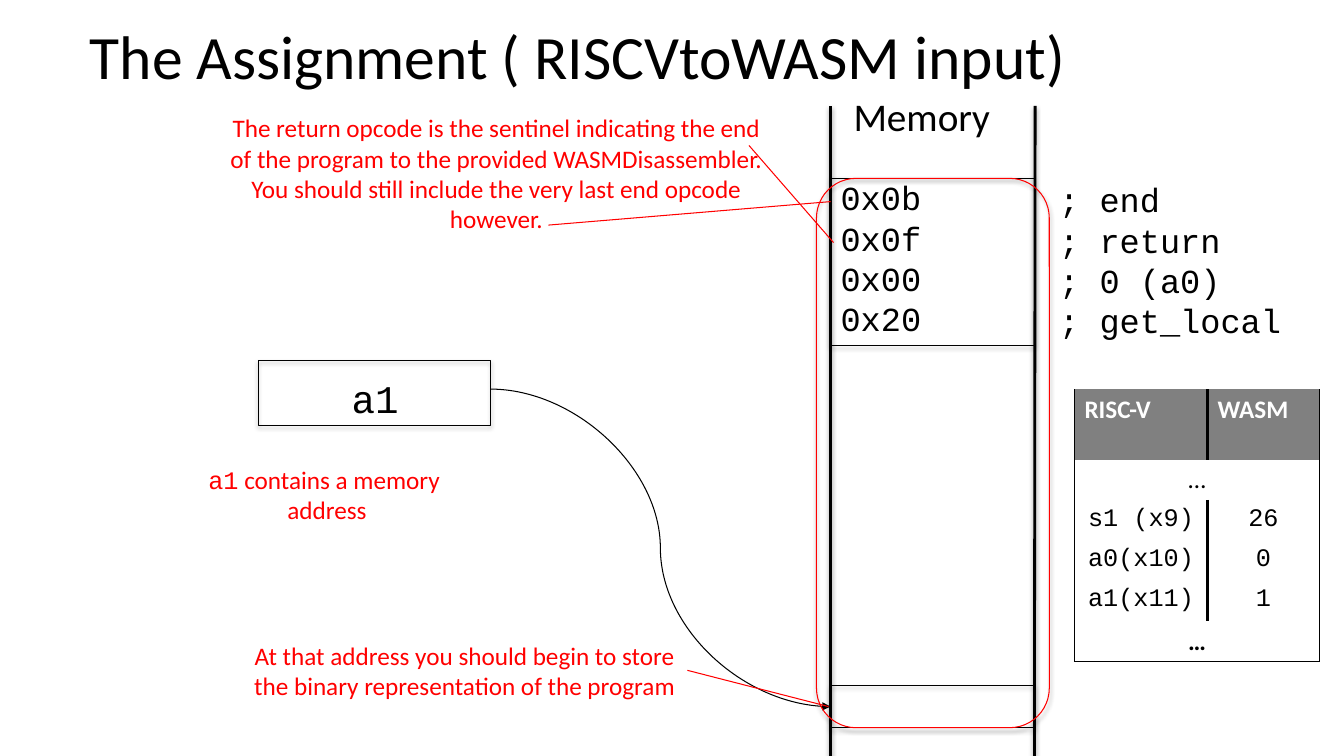
"""Build the slide on RISC-V to WASM program storage in memory."""
from lxml.etree import SubElement
from pptx import Presentation
from pptx.dml.color import RGBColor
from pptx.enum.shapes import MSO_CONNECTOR as Link, MSO_SHAPE as Form
from pptx.enum.text import MSO_ANCHOR as Anchor, MSO_AUTO_SIZE as Auto, PP_ALIGN as Align
from pptx.oxml.ns import qn
from pptx.util import Pt

BLACK = RGBColor(0, 0, 0)
RED = RGBColor(255, 0, 0)
WHITE = RGBColor(255, 255, 255)
GREY = RGBColor(128, 128, 128)
SANS, MONO = "Calibri", "Courier New"

TITLE = "The Assignment ( RISCVtoWASM input)"
CODE = [("0x0b", "; end"), ("0x0f", "; return"),
        ("0x00", "; 0 (a0)"), ("0x20", "; get_local")]
BYTES, NOTES = zip(*CODE)
HOLDS = [[("a1", MONO), " contains a memory "], "address"]
STORE = ["At that address you should begin to store the binary representation of the program"]
RETURN = ["The return opcode is the sentinel indicating the end of the program "
          "to the provided WASMDisassembler.",
          "You should still include the very last end opcode however."]
REGS = [("RISC-V", "WASM"), ("…",), ("s1 (x9)", "26"),
        ("a0(x10)", "0"), ("a1(x11)", "1"), ("…",)]

LEFT, RIGHT, TOP, BASE = 593.3, 739.4, 75.6, 540
WIDE = RIGHT - LEFT
CODE_TOP, CODE_TALL = 127.4, 119.5
SLOT_TOP, SLOT_TALL = 489.6, 30.2
RAILS = [(RIGHT - 0.5, BASE, RIGHT, TOP), (LEFT, BASE, LEFT, TOP)]
BOXES = [(LEFT, CODE_TOP, WIDE, CODE_TALL), (LEFT, SLOT_TOP, WIDE, SLOT_TALL),
         (184.3, 257.8, 166.3, 46.1)]
FRAME = (583.2, CODE_TOP, 166.3, SLOT_TOP + SLOT_TALL - CODE_TOP)
CURVE = (350.2, 277.9, LEFT, 504.7)
LEADS = [(491, 478.8, 591.8, 504.7), (535, 103.9, 595.4, 173.3),
         (391.7, 160.8, LEFT, 144)]
COLS, ROWS = (95, 80), (50.4,) + (28.8,) * 5
GRID = (767.5, 277.9)


def pts(nums):
    return [Pt(num) for num in nums]


def write(frame, lines, size=18, font=SANS, color=BLACK, align=Align.LEFT,
          bold=False, wrap=True, space=None):
    frame.word_wrap = wrap
    for i, line in enumerate(lines):
        para = frame.add_paragraph() if i else frame.paragraphs[0]
        para.alignment = align
        if space:
            para.line_spacing = space
        for part in [line] if isinstance(line, str) else line:
            text, face = (part, font) if isinstance(part, str) else part
            run = para.add_run()
            run.text = text
            run.font.name, run.font.size = face, Pt(size)
            run.font.bold, run.font.color.rgb = bold, color


def label(slide, box, lines, **look):
    write(slide.shapes.add_textbox(*pts(box)).text_frame, lines, **look)


def trim(item, color, width, shade=0, dist=1.8):
    item.line.color.rgb, item.line.width = color, Pt(width)
    effect = SubElement(item._element.spPr, qn("a:effectLst"))
    if shade:
        cast = SubElement(effect, qn("a:outerShdw"), blurRad=str(Pt(3.1)),
                          dist=str(Pt(dist)), dir="5400000", rotWithShape="0")
        tone = SubElement(cast, qn("a:srgbClr"), val="000000")
        SubElement(tone, qn("a:alpha"), val=str(shade * 1000))


def link(slide, ends, color, width=0.75, kind=Link.STRAIGHT, **cast):
    line = slide.shapes.add_connector(kind, *pts(ends))
    trim(line, color, width, **cast)
    return line


def outline(slide, form, box, color):
    shape = slide.shapes.add_shape(form, *pts(box))
    shape.fill.background()
    trim(shape, color, 0.75, shade=35)
    return shape


def edge(cell, side, width):
    props = cell._tc.get_or_add_tcPr()
    line = SubElement(props, qn("a:ln" + side), w=str(Pt(width)))
    if width:
        fill = SubElement(line, qn("a:solidFill"))
        SubElement(fill, qn("a:srgbClr"), val="000000")
    else:
        SubElement(line, qn("a:noFill"))


def regs(slide):
    size = pts((sum(COLS), sum(ROWS)))
    grid = slide.shapes.add_table(len(ROWS), len(COLS), *pts(GRID), *size).table
    grid.horz_banding = False
    for col, width in zip(grid.columns, COLS):
        col.width = Pt(width)
    last = len(ROWS) - 1
    for r, texts in enumerate(REGS):
        grid.rows[r].height = Pt(ROWS[r])
        head, full = r == 0, len(texts) == 1
        if full:
            grid.cell(r, 0).merge(grid.cell(r, 1))
        for c in range(len(COLS)):
            cell = grid.cell(r, c)
            mid = 0 if full else 2
            edge(cell, "L", mid if c else 0.96)
            edge(cell, "R", 0.96 if c or full else mid)
            edge(cell, "T", 0)
            edge(cell, "B", 0.96 if r == last else 0)
            if head:
                cell.fill.solid()
                cell.fill.fore_color.rgb = GREY
            else:
                cell.fill.background()
            if c < len(texts):
                write(cell.text_frame, [texts[c]],
                      font=SANS if head or full else MONO,
                      color=WHITE if head else BLACK,
                      align=Align.LEFT if head else Align.CENTER,
                      bold=head or r == last)


def main():
    deck = Presentation()
    deck.slide_width, deck.slide_height = Pt(960), Pt(540)
    slide = deck.slides.add_slide(deck.slide_layouts[5])
    title = slide.shapes.title
    title.left, title.top, title.width, title.height = pts((56.9, 11.5, 805, 62.6))
    title.text_frame.auto_size = Auto.NONE
    title.text_frame.vertical_anchor = Anchor.MIDDLE
    write(title.text_frame, [TITLE], size=44, space=0.9)

    for ends in RAILS:
        link(slide, ends, BLACK, width=2, shade=38, dist=1.6)
    for box in BOXES:
        outline(slide, Form.RECTANGLE, box, BLACK)
    label(slide, (244.1, 263.5, 54, 41), ["a1"], size=28, font=MONO)
    curve = link(slide, CURVE, BLACK, kind=Link.CURVE)
    SubElement(curve._element.spPr.find(qn("a:ln")), qn("a:tailEnd"), type="triangle")

    label(slide, (602.6, 62.6, 128.2, 41), ["Memory"], size=28, wrap=False)
    note = dict(color=RED, align=Align.CENTER)
    label(slide, (123.1, 328.3, 221, 50.4), HOLDS, wrap=False, **note)
    label(slide, (172.8, 453.6, 318.2, 72), STORE, **note)
    label(slide, (155.5, 77, 398.2, 115.2), RETURN, **note)
    for ends in LEADS:
        link(slide, ends, RED)
    outline(slide, Form.ROUNDED_RECTANGLE, FRAME, RED).adjustments[0] = 0.17
    label(slide, (LEFT, 123.1, 143.3, 122.4), BYTES, size=24, font=MONO)
    label(slide, (749.5, 124.6, 181.4, 122.4), NOTES, size=24, font=MONO)
    regs(slide)
    deck.save("out.pptx")


if __name__ == "__main__":
    main()
